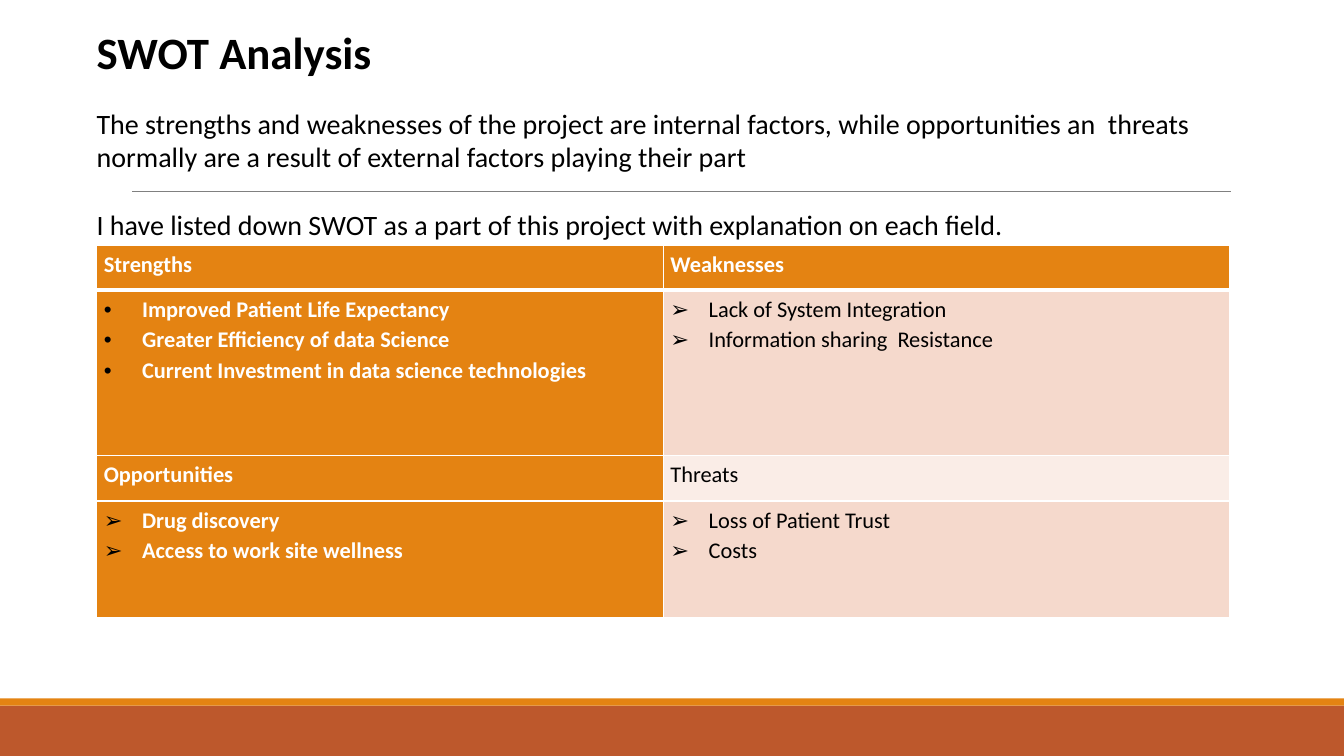
"""Build the SWOT analysis slide."""
from pptx import Presentation
from pptx.dml.color import RGBColor
from pptx.enum.shapes import MSO_CONNECTOR as Link, MSO_SHAPE as Shape
from pptx.oxml.ns import qn
from pptx.util import Inches, Pt
from lxml.etree import SubElement as Sub

INTRO = [
    ("SWOT Analysis", 32, True, 0),
    ("The strengths and weaknesses of the project are internal factors, while "
     "opportunities an  threats normally are a result of external factors "
     "playing their part", 20, False, 19.5),
    ("I have listed down SWOT as a part of this project with explanation on "
     "each field.", 20, False, 24.4),
]
ORANGE, RUST, ROSE, PALE = "E48312", "BD582C", "F5D9CC", "FAEDE7"
WHITE, BLACK, GRAY = "FFFFFF", "000000", "808080"
SWOT = [
    [("", ["Strengths"]), ("", ["Weaknesses"])],
    [("•", ["Improved Patient Life Expectancy",
            "Greater Efficiency of data Science",
            "Current Investment in data science technologies"]),
     ("➢", ["Lack of System Integration", "Information sharing  Resistance"])],
    [("", ["Opportunities"]), ("", ["Threats"])],
    [("➢", ["Drug discovery", "Access to work site wellness"]),
     ("➢", ["Loss of Patient Trust", "Costs"])],
]
FILLS = [(ORANGE, ORANGE), (ORANGE, ROSE), (ORANGE, PALE), (ORANGE, ROSE)]
ROWS = [0.45, 1.64, 0.45, 1.16]
COL = 5.62
BANDS = [(7, 0.5, RUST), (6.93, 0.07, ORANGE)]
WIDE, HIGH = 13.33, 7.5


def paint(fmt, color):
    fmt.solid()
    fmt.fore_color.rgb = RGBColor.from_string(color)


def style(para, size, color, bold):
    for run in para.runs:
        font = run.font
        font.name, font.size, font.bold = "Calibri", Pt(size), bold
        font.color.rgb = RGBColor.from_string(color)


def bullet(para, mark):
    props = para._p.get_or_add_pPr()
    props.set("marL", str(Inches(0.38)))
    props.set("indent", str(Inches(-0.38)))
    Sub(Sub(props, qn("a:buClr")), qn("a:srgbClr"), val=BLACK)
    Sub(props, qn("a:buFont"), typeface="Arial")
    Sub(props, qn("a:buChar"), char=mark)


def edge(cell, row):
    thick = {(0, "B"), (1, "T")}
    props = cell._tc.get_or_add_tcPr()
    for side in "LRTB":
        width = 3 if (row, side) in thick else 1
        line = Sub(props, qn("a:ln" + side), w=str(Pt(width)))
        Sub(Sub(line, qn("a:solidFill")), qn("a:srgbClr"), val=WHITE)


def fill_cell(cell, row, mark, lines, back):
    cell.margin_left, cell.margin_right = Inches(0.07), Inches(0.08)
    cell.margin_top, cell.margin_bottom = Inches(0.04), 0
    edge(cell, row)
    paint(cell.fill, back)
    cell.text_frame.text = "\n".join(lines)
    dark = back == ORANGE
    for num, para in enumerate(cell.text_frame.paragraphs, 1):
        para.line_spacing = 1.07
        if num < len(lines):
            para.space_after = Pt(0.7)
        if mark:
            bullet(para, mark)
        style(para, 16, WHITE if dark else BLACK, dark)


def add_bands(slide):
    for top, high, color in BANDS:
        band = slide.shapes.add_shape(
            Shape.RECTANGLE, 0, Inches(top), Inches(WIDE), Inches(high))
        band.shadow.inherit = False
        paint(band.fill, color)
        band.line.fill.background()


def add_rule(slide):
    rule = slide.shapes.add_connector(
        Link.STRAIGHT, Inches(1.31), Inches(1.9), Inches(12.21), Inches(1.9))
    paint(rule.line.fill, GRAY)
    rule.line.width = Pt(0.5)
    Sub(rule._element.spPr, qn("a:effectLst"))


def add_grid(slide):
    grid = slide.shapes.add_table(
        len(SWOT), 2, Inches(0.96), Inches(2.43),
        Inches(2 * COL), Inches(sum(ROWS))).table
    for col in grid.columns:
        col.width = Inches(COL)
    for row, cells in enumerate(SWOT):
        grid.rows[row].height = Inches(ROWS[row])
        for col, (mark, lines) in enumerate(cells):
            fill_cell(grid.cell(row, col), row, mark, lines, FILLS[row][col])


def add_intro(slide):
    box = slide.shapes.add_textbox(
        Inches(0.86), Inches(0.2), Inches(11.5), Inches(2.2))
    frame = box.text_frame
    frame.word_wrap = True
    frame.text = "\n".join(item[0] for item in INTRO)
    for para, (_, size, bold, gap) in zip(frame.paragraphs, INTRO):
        if gap:
            para.space_before = Pt(gap)
        style(para, size, BLACK, bold)


def main():
    deck = Presentation()
    deck.slide_width, deck.slide_height = Inches(WIDE), Inches(HIGH)
    slide = deck.slides.add_slide(deck.slide_layouts[6])
    paint(slide.background.fill, WHITE)
    add_bands(slide)
    add_rule(slide)
    add_grid(slide)
    add_intro(slide)
    deck.save("out.pptx")


if __name__ == "__main__":
    main()
